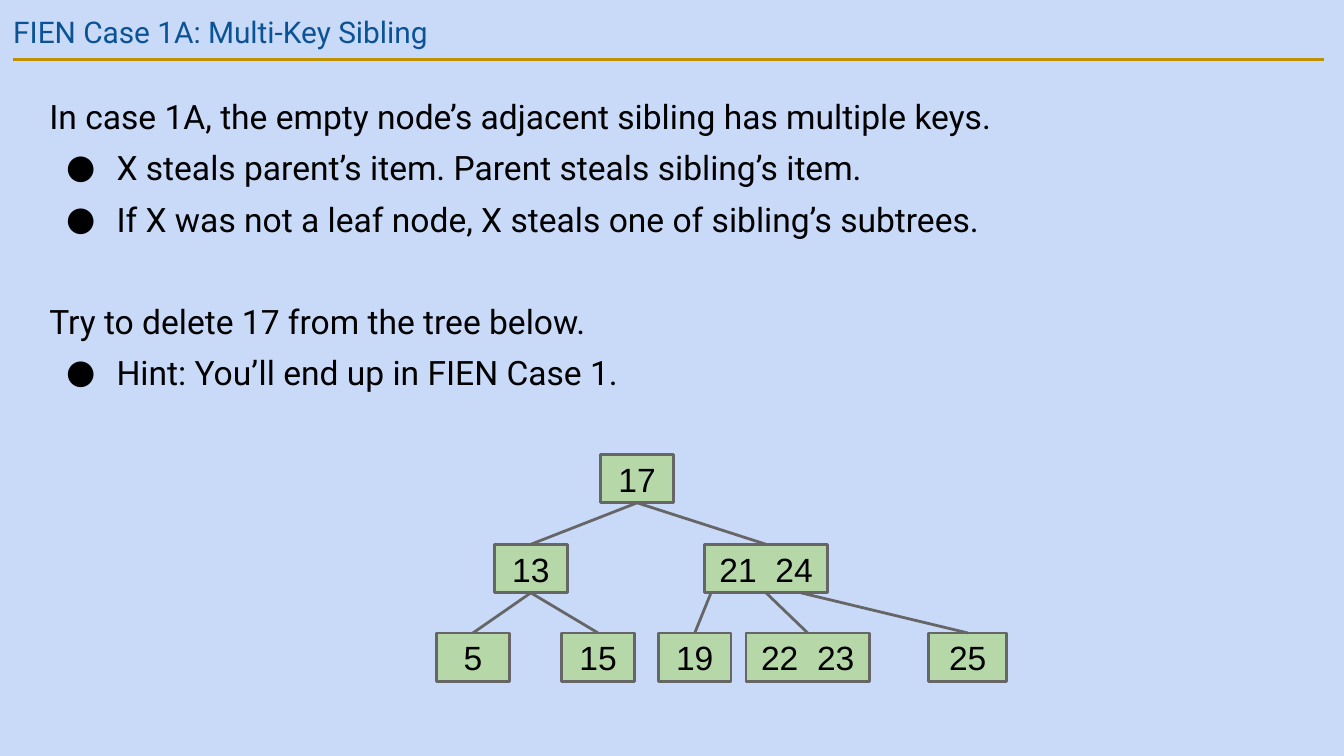
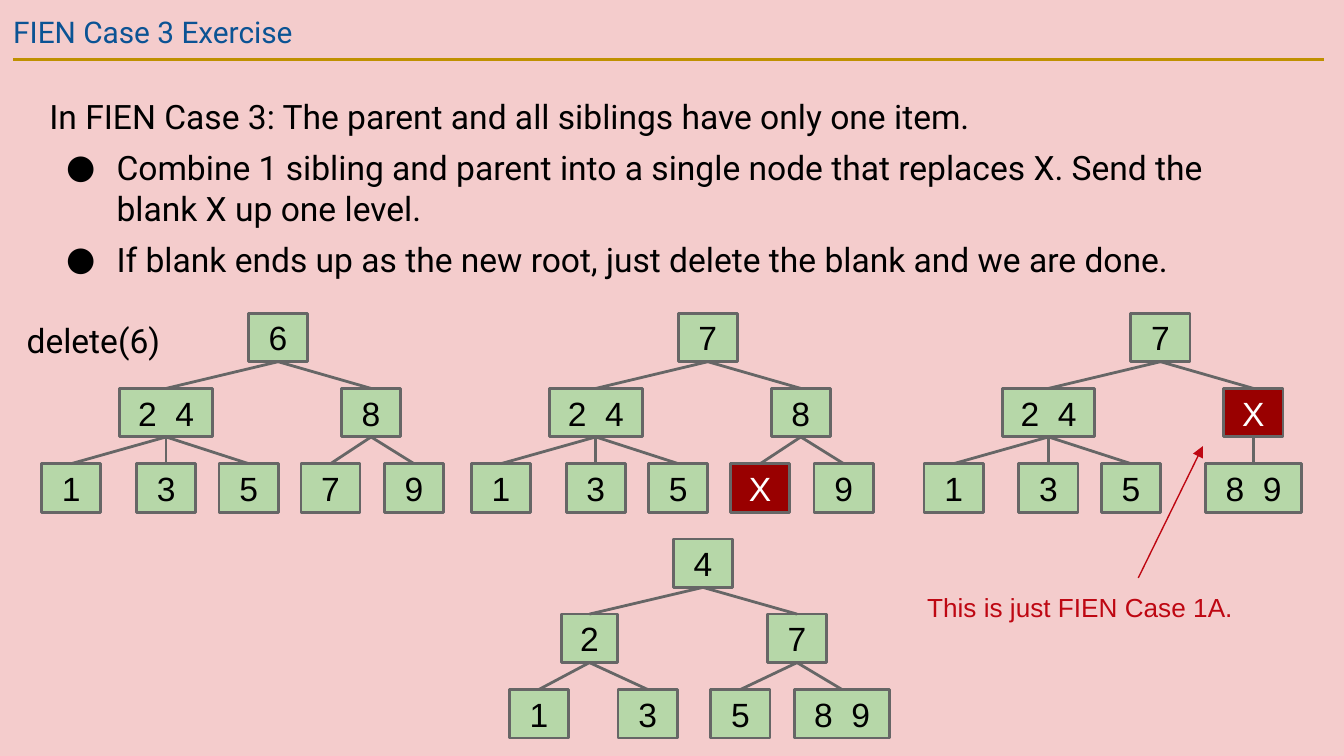
import pptx
import pptx.dml.color
import pptx.enum.shapes
import pptx.enum.text
import pptx.oxml
import pptx.oxml.ns
import pptx.util

Pt = pptx.util.Pt
MIDDLE = pptx.enum.text.MSO_ANCHOR.MIDDLE
CENTER = pptx.enum.text.PP_ALIGN.CENTER
STRAIGHT = pptx.enum.shapes.MSO_CONNECTOR.STRAIGHT
RECTANGLE = pptx.enum.shapes.MSO_SHAPE.RECTANGLE

# Shared look
GOLD, EDGE, GREEN, DARK_RED, RED = "BF9000", "666666", "B6D7A8", "990000", "BE0712"
TITLE = {"name": "Roboto", "size": Pt(16), "color": "0B5394"}
BODY = {"name": "Roboto", "size": Pt(18), "color": "000000"}
KEY = {"name": "Arial", "size": Pt(18), "color": "000000"}
BLANK_KEY = {**KEY, "color": "FFFFFF"}
REMARK = {"name": "Arial", "size": Pt(14), "color": RED}
INSET, NODE_HEIGHT, SPACE, SECTION_SPACE = 7.2, 26, 6, 60

# Trees: (keys, centre, width, parent index, where the edge leaves the parent)
SIBLING_TREE = [
    ("17", 341.3, 39, None, None),
    ("13", 284.4, 39, 0, None),
    ("21 24", 410.4, 66.2, 0, None),
    ("5", 253.4, 39, 1, None),
    ("15", 320.4, 39, 1, None),
    ("19", 372.2, 39, 2, 380.9),
    ("22 23", 432.7, 66.2, 2, None),
    ("25", 518.4, 41.8, 2, 429.1),
]


def case_3_tree(root, right, leaves):
    """Tree whose left half stays the same through the exercise."""
    return [
        (root, 149, 31.7, None, None),
        ("2 4", 89, 49.7, 0, None),
        (right, 198.8, 31.7, 0, None),
        ("1", 38.2, 31.7, 1, None),
        ("3", 89, 31.7, 1, None),
        ("5", 133.2, 31.7, 1, None),
    ] + [(keys, centre, width, 2, None) for keys, centre, width in leaves]


FINAL_TREE = [
    ("4", 376.6, 31.7, None, None),
    ("2", 315.8, 30.2, 0, None),
    ("7", 427, 31.7, 0, None),
    ("1", 288.7, 31.7, 1, None),
    ("3", 347, 31.7, 1, None),
    ("5", 396.7, 31.7, 2, None),
    ("8 9", 451.1, 51.1, 2, None),
]
UPPER_ROWS, LOWER_ROWS = (167.8, 208.1, 248.4), (288.7, 329, 369.4)

# Slides: lines are (text, bulleted, space before); trees are (nodes, shift, row tops)
SLIDES = [
    {
        "title": "FIEN Case 1A: Multi-Key Sibling",
        "background": "C9DAF8",
        "lines": [
            ("In case 1A, the empty node’s adjacent sibling has multiple keys.", False, 0),
            ("X steals parent’s item. Parent steals sibling’s item.", True, SPACE),
            ("If X was not a leaf node, X steals one of sibling’s subtrees.", True, SPACE),
            ("Try to delete 17 from the tree below.", False, SECTION_SPACE - 27),
            ("Hint: You’ll end up in FIEN Case 1.", True, SPACE),
        ],
        "body_height": 177,
        "trees": [(SIBLING_TREE, 0, (243.4, 291.6, 339.1))],
        "labels": [],
        "arrows": [],
    },
    {
        "title": "FIEN Case 3 Exercise",
        "background": "F4CCCC",
        "lines": [
            ("In FIEN Case 3: The parent and all siblings have only one item.", False, 0),
            ("Combine 1 sibling and parent into a single node that replaces X. "
             "Send the blank X up one level.", True, SPACE),
            ("If blank ends up as the new root, just delete the blank and we are done.",
             True, SPACE),
        ],
        "body_height": 118,
        "trees": [
            (case_3_tree("6", "8", [("7", 177.1, 31.7), ("9", 221.8, 31.7)]), 0, UPPER_ROWS),
            (case_3_tree("7", "8", [("X", 177.1, 31.7), ("9", 221.8, 31.7)]), 230.2, UPPER_ROWS),
            (case_3_tree("7", "X", [("8 9", 198.8, 51.1)]), 472.7, UPPER_ROWS),
            (FINAL_TREE, 0, LOWER_ROWS),
        ],
        "labels": [
            ("delete(6)", (7.2, 164.2, 96.5, 45.4), BODY),
            ("This is just FIEN Case 1A.", (489.6, 309.6, 188.6, 28), REMARK),
        ],
        "arrows": [(609.8, 309.6, 644.4, 239)],
    },
]


def rgb(value):
    return pptx.dml.color.RGBColor.from_string(value)


def format_font(font, style):
    for name, value in style.items():
        if name == "color":
            font.color.rgb = rgb(value)
        else:
            setattr(font, name, value)


def format_frame(frame, **values):
    margins = dict.fromkeys(
        ("margin_left", "margin_top", "margin_right", "margin_bottom"), Pt(INSET))
    for name, value in {**margins, **values}.items():
        setattr(frame, name, value)


def add_bullet(para):
    properties = para._p.get_or_add_pPr()
    properties.set("marL", str(Pt(36)))
    properties.set("indent", str(-Pt(27)))
    namespace = pptx.oxml.ns.nsdecls("a")
    for xml in (f'<a:buClr {namespace}><a:srgbClr val="000000"/></a:buClr>',
                f'<a:buFont {namespace} typeface="Roboto"/>',
                f'<a:buChar {namespace} char="●"/>'):
        properties.append(pptx.oxml.parse_xml(xml))


def add_text(page, lines, place, style):
    box = page.shapes.add_textbox(*map(Pt, place))
    format_frame(box.text_frame, word_wrap=True)
    for number, (text, bulleted, space) in enumerate(lines):
        para = box.text_frame.add_paragraph() if number else box.text_frame.paragraphs[0]
        para.space_before = Pt(space)
        if bulleted:
            add_bullet(para)
        span = para.add_run()
        span.text = text
        format_font(span.font, style)


def add_line(shapes, ends, color, width, arrow=False):
    line = shapes.add_connector(STRAIGHT, *map(Pt, ends))
    line.line.color.rgb = rgb(color)
    line.line.width = Pt(width)
    namespace = pptx.oxml.ns.nsdecls("a")
    if arrow:
        line.line._get_or_add_ln().append(
            pptx.oxml.parse_xml(f'<a:tailEnd {namespace} type="triangle"/>'))
    line._element.spPr.append(pptx.oxml.parse_xml(f"<a:effectLst {namespace}/>"))
    return line


def add_node(shapes, keys, centre, top, width):
    blank = keys == "X"
    box = shapes.add_shape(
        RECTANGLE, *map(Pt, (centre - width / 2, top, width, NODE_HEIGHT)))
    box.shadow.inherit = False
    box.fill.solid()
    box.fill.fore_color.rgb = rgb(DARK_RED if blank else GREEN)
    box.line.color.rgb = rgb(EDGE)
    box.line.width = Pt(1.5)
    format_frame(box.text_frame, word_wrap=False, vertical_anchor=MIDDLE)
    para = box.text_frame.paragraphs[0]
    para.alignment = CENTER
    for part in keys.replace(" ", "| |").split("|"):
        span = para.add_run()
        span.text = part
        format_font(span.font, BLANK_KEY if blank else KEY)
        if part == " ":  # widen the gap between two keys
            span._r.get_or_add_rPr().set("spc", "500")
    return box


def add_tree(page, nodes, shift, tops):
    shapes = page.shapes.add_group_shape().shapes
    boxes, levels = [], []
    for keys, centre, width, parent, _ in nodes:
        levels.append(0 if parent is None else levels[parent] + 1)
        boxes.append(add_node(shapes, keys, centre + shift, tops[levels[-1]], width))
    # Edges run from the parent's lower side to the child's upper side
    for child, (_, centre, _, parent, leave) in enumerate(nodes):
        if parent is None:
            continue
        start = nodes[parent][1] if leave is None else leave
        ends = (start + shift, tops[levels[parent]] + NODE_HEIGHT,
                centre + shift, tops[levels[child]])
        edge = add_line(shapes, ends, EDGE, 1.5)
        if leave is None:
            edge.begin_connect(boxes[parent], 2)
        edge.end_connect(boxes[child], 0)


def add_page(deck, content):
    page = deck.slides.add_slide(deck.slide_layouts[6])
    page.background.fill.solid()
    page.background.fill.fore_color.rgb = rgb(content["background"])
    # Title and rule
    add_line(page.shapes, (7.2, 31.7, 709.2, 31.7), GOLD, 1.5)
    add_text(page, [(content["title"], False, 0)], (0, 0, 671, 31), TITLE)
    # Explanation, trees and remarks
    add_text(page, content["lines"], (19.4, 44, 664.6, content["body_height"]), BODY)
    for tree in content["trees"]:
        add_tree(page, *tree)
    for text, place, style in content["labels"]:
        add_text(page, [(text, False, 0)], place, style)
    for ends in content["arrows"]:
        add_line(page.shapes, ends, RED, 0.75, arrow=True)


def main():
    deck = pptx.Presentation()
    deck.slide_width, deck.slide_height = Pt(720), Pt(405)
    for content in SLIDES:
        add_page(deck, content)
    deck.save("out.pptx")


if __name__ == "__main__":
    main()
